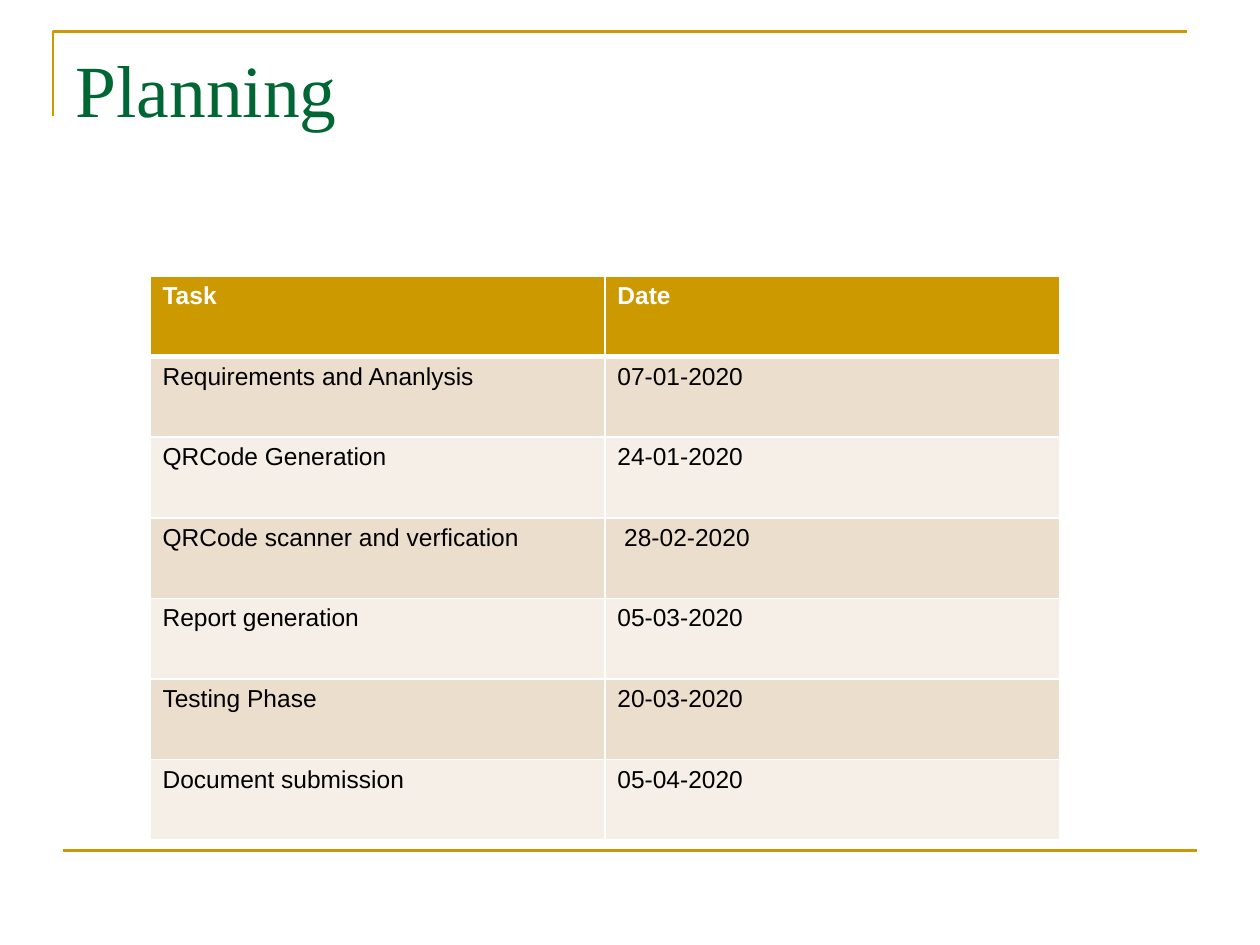
"""Build the planning slide with its table of tasks and dates."""
from lxml import etree
from pptx import Presentation
from pptx.dml.color import RGBColor
from pptx.enum.shapes import MSO_CONNECTOR
from pptx.enum.text import MSO_ANCHOR, PP_ALIGN
from pptx.oxml.ns import qn
from pptx.util import Inches, Pt

LINE = MSO_CONNECTOR.STRAIGHT
TOP = MSO_ANCHOR.TOP
LEFT = PP_ALIGN.LEFT
COLOR = {
    "gold": "CC9900",
    "green": "006633",
    "white": "FFFFFF",
    "black": "000000",
    "sand": "ECDECC",
    "cream": "F6EFE7",
}
ROWS = [
    ("Task", "Date"),
    ("Requirements and Ananlysis", "07-01-2020"),
    ("QRCode Generation", "24-01-2020"),
    ("QRCode scanner and verfication", " 28-02-2020"),
    ("Report generation", "05-03-2020"),
    ("Testing Phase", "20-03-2020"),
    ("Document submission", "05-04-2020"),
]


def rgb(name):
    return RGBColor.from_string(COLOR[name])


def add_run(para, text, font, size, color, bold=False):
    run = para.add_run()
    run.text = text
    run.font.name = font
    run.font.size = Pt(size)
    run.font.bold = bold
    run.font.color.rgb = rgb(color)


def style_line(line):
    line.color.rgb = rgb("gold")
    line.width = Pt(1.5)


def add_frame(slide):
    pen = slide.shapes.build_freeform(Inches(0.42), Inches(0.92))
    pen.add_line_segments(
        [(Inches(0.42), Inches(0.25)), (Inches(9.42), Inches(0.25))], close=False
    )
    frame = pen.convert_to_shape()
    frame.shadow.inherit = False
    frame.fill.background()
    style_line(frame.line)


def add_rule(slide):
    rule = slide.shapes.add_connector(
        LINE, Inches(0.5), Inches(6.75), Inches(9.5), Inches(6.75)
    )
    style_line(rule.line)
    etree.SubElement(rule._element.spPr, qn("a:effectLst"))


def set_title(slide, text):
    title = slide.shapes.title
    title.left, title.top = Inches(0.5), Inches(0.3)
    title.width, title.height = Inches(9), Inches(1.25)
    frame = title.text_frame
    frame.vertical_anchor = TOP
    para = frame.paragraphs[0]
    para.alignment = LEFT
    add_run(para, text, "Times New Roman", 42, "green")


def set_edges(cell, top, base):
    props = cell._tc.get_or_add_tcPr()
    sides = {"lnL": 1, "lnR": 1, "lnT": top, "lnB": base}
    for spot, (side, width) in enumerate(sides.items()):
        edge = etree.Element(qn(f"a:{side}"), w=str(Pt(width)))
        fill = etree.SubElement(edge, qn("a:solidFill"))
        etree.SubElement(fill, qn("a:srgbClr"), val=COLOR["white"])
        props.insert(spot, edge)


def fill_cell(cell, text, row):
    head = row == 0
    fill = "gold" if head else ("cream", "sand")[row % 2]
    cell.fill.solid()
    cell.fill.fore_color.rgb = rgb(fill)
    set_edges(cell, 3 if row == 1 else 1, 3 if head else 1)
    para = cell.text_frame.paragraphs[0]
    add_run(para, text, "Arial", 14, "white" if head else "black", head)


def add_plan(slide):
    table = slide.shapes.add_table(
        len(ROWS), 2, Inches(1.19), Inches(2.19), Inches(7.22), Inches(4.48)
    ).table
    for row, texts in enumerate(ROWS):
        for col, text in enumerate(texts):
            fill_cell(table.cell(row, col), text, row)


def main():
    deck = Presentation()
    deck.slide_width, deck.slide_height = Inches(10), Inches(7.5)
    slide = deck.slides.add_slide(deck.slide_layouts[5])
    add_frame(slide)
    add_rule(slide)
    set_title(slide, "Planning")
    add_plan(slide)
    deck.save("out.pptx")


if __name__ == "__main__":
    main()
